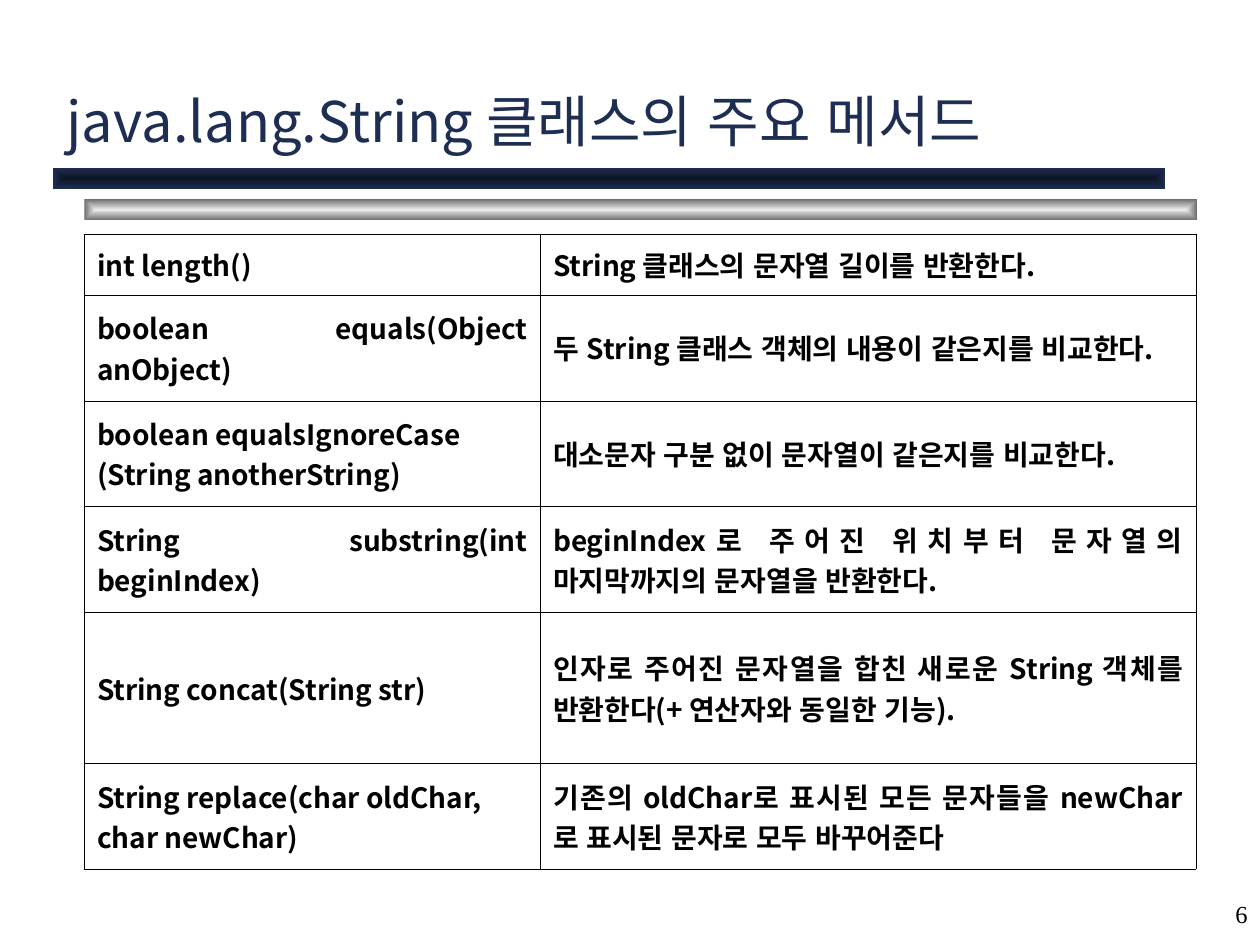
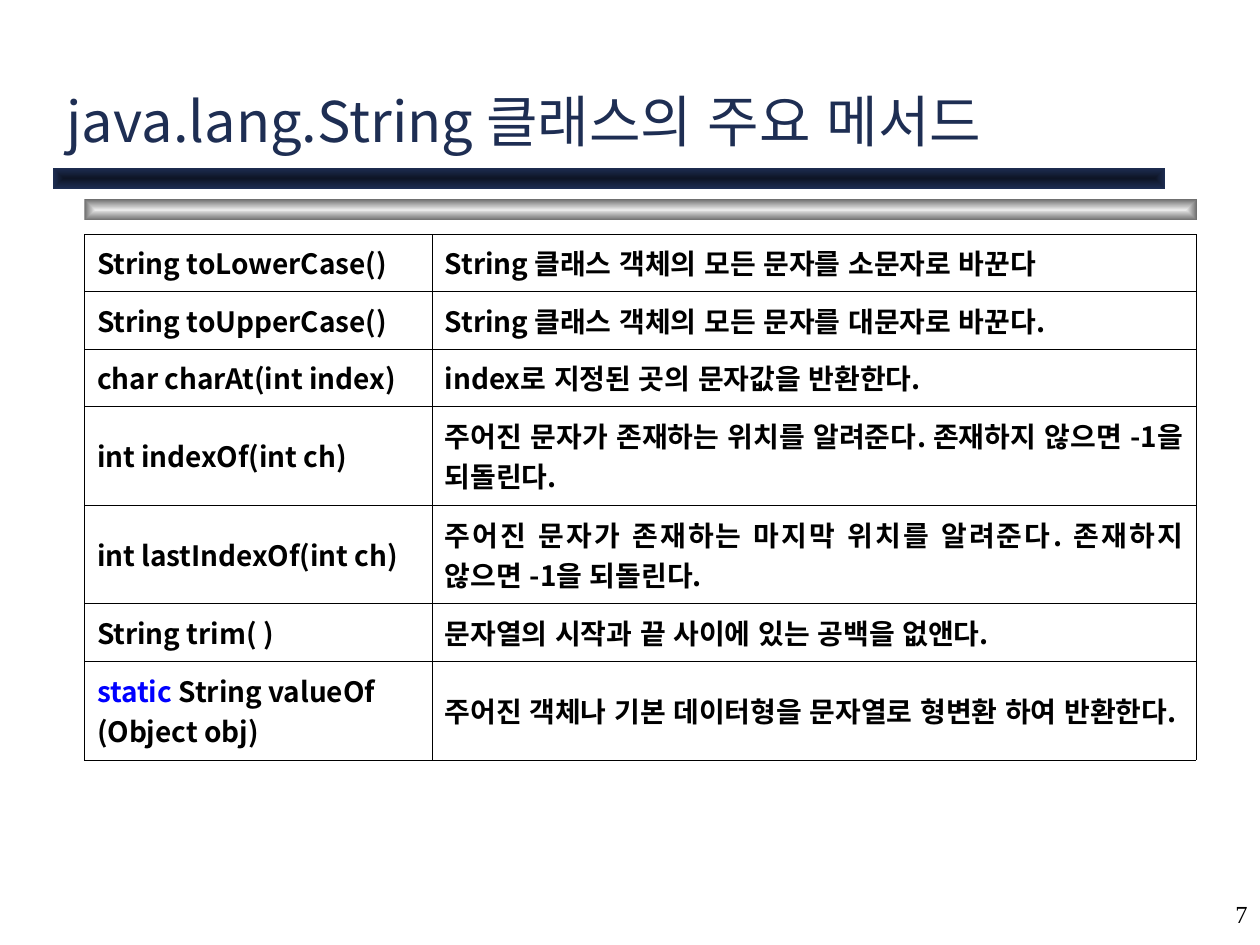
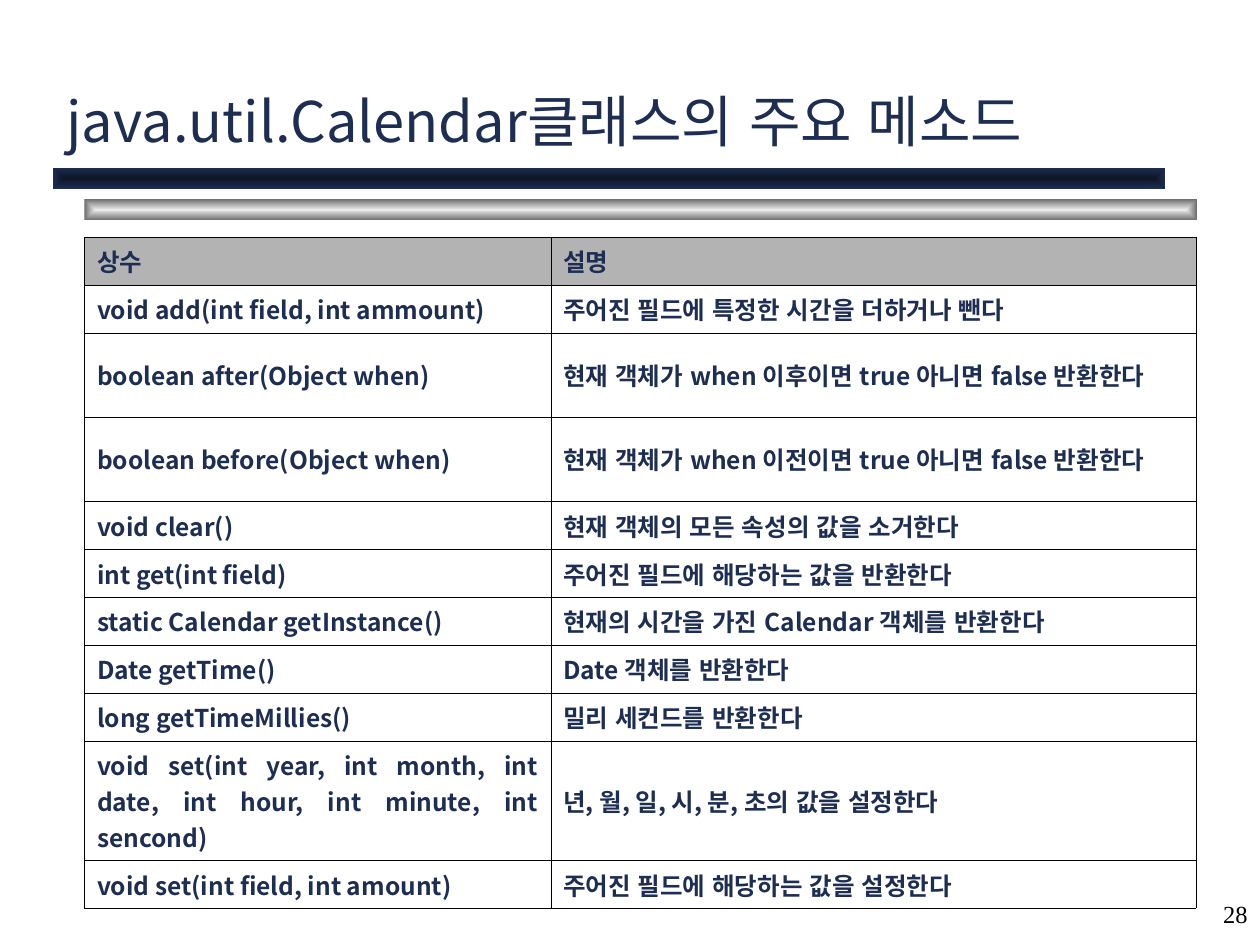
"""Builds three slides of method tables for the String and Calendar classes."""
import dataclasses

import lxml.etree
import pptx
import pptx.dml.color
import pptx.enum.lang
import pptx.enum.shapes
import pptx.enum.text
import pptx.oxml.ns
import pptx.util

Inches = pptx.util.Inches
Align = pptx.enum.text.PP_ALIGN
Anchor = pptx.enum.text.MSO_ANCHOR
qn = pptx.oxml.ns.qn


@dataclasses.dataclass(frozen=True)
class Theme:
    """Colours, fonts and type sizes shared by the slides."""
    navy: str = "1E2E53"
    navy_core: str = "0E1526"
    grey: str = "6C6C6C"
    grey_core: str = "EAEAEA"
    header: str = "B3B3B3"
    black: str = "000000"
    keyword: str = "0000FF"
    font: str = "Noto Sans CJK KR"
    number_font: str = "Times New Roman"
    title_size: int = 32
    table_size: int = 16
    small_size: int = 14
    border: float = 0.06


THEME = Theme()
TABLE_LEFT = 0.67

STRING_TITLE = "java.lang.String 클래스의 주요 메서드"
CALENDAR_TITLE = "java.util.Calendar클래스의 주요 메소드"

STRING_BASICS = [
    (0.48, "int length()", "String 클래스의 문자열 길이를 반환한다."),
    (0.84, "boolean equals(Object anObject)",
     "두 String 클래스 객체의 내용이 같은지를 비교한다."),
    (0.84, "boolean equalsIgnoreCase\n(String anotherString)",
     "대소문자 구분 없이 문자열이 같은지를 비교한다."),
    (0.84, "String substring(int beginIndex)",
     "beginIndex로 주어진 위치부터 문자열의 마지막까지의 문자열을 반환한다."),
    (1.2, "String concat(String str)",
     "인자로 주어진 문자열을 합친 새로운 String 객체를 반환한다(+ 연산자와 동일한 기능)."),
    (0.84, "String replace(char oldChar,\nchar newChar)",
     "기존의 oldChar로 표시된 모든 문자들을 newChar로 표시된 문자로 모두 바꾸어준다"),
]
STRING_MORE = [
    (0.45, "String toLowerCase()", "String 클래스 객체의 모든 문자를 소문자로 바꾼다"),
    (0.46, "String toUpperCase()", "String 클래스 객체의 모든 문자를 대문자로 바꾼다."),
    (0.45, "char charAt(int index)", "index로 지정된 곳의 문자값을 반환한다."),
    (0.79, "int indexOf(int ch)",
     "주어진 문자가 존재하는 위치를 알려준다. 존재하지 않으면 -1을 되돌린다."),
    (0.78, "int lastIndexOf(int ch)",
     "주어진 문자가 존재하는 마지막 위치를 알려준다. 존재하지 않으면 -1을 되돌린다."),
    (0.46, "String trim( )", "문자열의 시작과 끝 사이에 있는 공백을 없앤다."),
    (0.78, "static String valueOf\n(Object obj)",
     "주어진 객체나 기본 데이터형을 문자열로 형변환 하여 반환한다."),
]
CALENDAR_METHODS = [
    (0.38, "상수", "설명"),
    (0.38, "void add(int field, int ammount)", "주어진 필드에 특정한 시간을 더하거나 뺀다"),
    (0.67, "boolean after(Object when)",
     "현재 객체가 when 이후이면 true 아니면 false 반환한다"),
    (0.67, "boolean before(Object when)",
     "현재 객체가 when 이전이면 true 아니면 false 반환한다"),
    (0.38, "void clear()", "현재 객체의 모든 속성의 값을 소거한다"),
    (0.38, "int get(int field)", "주어진 필드에 해당하는 값을 반환한다"),
    (0.38, "static Calendar getInstance()", "현재의 시간을 가진 Calendar 객체를 반환한다"),
    (0.38, "Date getTime()", "Date 객체를 반환한다"),
    (0.38, "long getTimeMillies()", "밀리 세컨드를 반환한다"),
    (0.95, "void set(int year, int month, int date, int hour, int minute, int sencond)",
     "년, 월, 일, 시, 분, 초의 값을 설정한다"),
    (0.38, "void set(int field, int amount)", "주어진 필드에 해당하는 값을 설정한다"),
]


def rgb(value):
    """Return a colour object for a hex value."""
    return pptx.dml.color.RGBColor.from_string(value)


def write_text(frame, text, *, size, color, font=THEME.font, bold=False,
               align=Align.LEFT, keyword=""):
    """Fill a text frame, one paragraph a line, colouring a leading keyword."""
    for index, line in enumerate(text.split("\n")):
        para = frame.add_paragraph() if index else frame.paragraphs[0]
        para.alignment = align
        lead = keyword if keyword and line.startswith(keyword) else ""
        parts = [(lead, THEME.keyword), (line[len(lead):], color)]
        for words, shade in parts:
            if not words:
                continue
            span = para.add_run()
            span.text = words
            span.font.size = pptx.util.Pt(size)
            span.font.bold = bold
            span.font.name = font
            span.font.language_id = pptx.enum.lang.MSO_LANGUAGE_ID.KOREAN
            span.font.color.rgb = rgb(shade)
            east = lxml.etree.SubElement(span.font._element, qn("a:ea"))
            east.set("typeface", font)


def add_text_box(page, text, left, top, width, height, *, anchor, **style):
    """Add a wrapped text box."""
    box = page.shapes.add_textbox(*map(Inches, (left, top, width, height)))
    box.text_frame.word_wrap = True
    box.text_frame.vertical_anchor = anchor
    write_text(box.text_frame, text, **style)


def add_band(page, left, top, core, edge):
    """Add a bar shaded from its core to its edges."""
    band = page.shapes.add_shape(
        pptx.enum.shapes.MSO_SHAPE.RECTANGLE,
        *map(Inches, (left, top, 8.83, 0.17)))
    band.shadow.inherit = False
    band.line.fill.background()
    band.fill.gradient()
    for stop, color in zip(band.fill.gradient_stops, (core, edge)):
        stop.color.rgb = rgb(color)
    gradient = band._element.spPr.find(qn("a:gradFill"))
    gradient.remove(gradient.find(qn("a:lin")))
    shade = lxml.etree.SubElement(gradient, qn("a:path"), path="rect")
    lxml.etree.SubElement(shade, qn("a:fillToRect"),
                          dict.fromkeys("ltrb", "50000"))


def add_borders(cell):
    """Draw a thin line on each side of a cell."""
    properties = cell._tc.get_or_add_tcPr()
    for index, side in enumerate(("a:lnL", "a:lnR", "a:lnT", "a:lnB")):
        line = lxml.etree.Element(
            qn(side), w=str(int(pptx.util.Pt(THEME.border))))
        fill = lxml.etree.SubElement(line, qn("a:solidFill"))
        lxml.etree.SubElement(fill, qn("a:srgbClr"), val=THEME.black)
        properties.insert(index, line)


def add_method_table(page, top, widths, methods, *, has_header=False, **style):
    """Add a table of methods and their descriptions."""
    heights = [method[0] for method in methods]
    table = page.shapes.add_table(
        len(methods), len(widths),
        *map(Inches, (TABLE_LEFT, top, sum(widths), sum(heights)))).table
    table.first_row = has_header
    table.horz_banding = False
    for column, width in zip(table.columns, widths):
        column.width = Inches(width)
    for index, (height, *texts) in enumerate(methods):
        table.rows[index].height = Inches(height)
        for cell, text in zip(table.rows[index].cells, texts):
            cell.vertical_anchor = Anchor.MIDDLE
            if has_header and index == 0:
                cell.fill.solid()
                cell.fill.fore_color.rgb = rgb(THEME.header)
            else:
                cell.fill.background()
            add_borders(cell)
            write_text(cell.text_frame, text, bold=True,
                       align=Align.JUSTIFY, **style)


def add_page(deck, title, number):
    """Add a blank slide with its bands, title and page number."""
    page = deck.slides.add_slide(deck.slide_layouts[6])
    add_band(page, TABLE_LEFT, 1.58, THEME.grey_core, THEME.grey)
    add_band(page, 0.42, 1.33, THEME.navy_core, THEME.navy)
    add_text_box(page, str(number), 7.92, 7, 2.08, 0.5, anchor=Anchor.MIDDLE,
                 size=THEME.small_size, color=THEME.black,
                 font=THEME.number_font, align=Align.RIGHT)
    add_text_box(page, title, 0.43, 0.6, 8.82, 0.67, anchor=Anchor.BOTTOM,
                 size=THEME.title_size, color=THEME.navy)
    return page


def main():
    """Build and save the deck."""
    deck = pptx.Presentation()
    deck.slide_width = Inches(10)
    deck.slide_height = Inches(7.5)
    string_style = {"size": THEME.table_size, "color": THEME.black}
    add_method_table(add_page(deck, STRING_TITLE, 6), 1.86, (3.62, 5.2),
                     STRING_BASICS, **string_style)
    add_method_table(add_page(deck, STRING_TITLE, 7), 1.86, (2.76, 6.06),
                     STRING_MORE, keyword="static", **string_style)
    add_method_table(add_page(deck, CALENDAR_TITLE, 28), 1.88, (3.7, 5.12),
                     CALENDAR_METHODS, has_header=True,
                     size=THEME.small_size, color=THEME.navy)
    deck.save("out.pptx")


if __name__ == "__main__":
    main()
